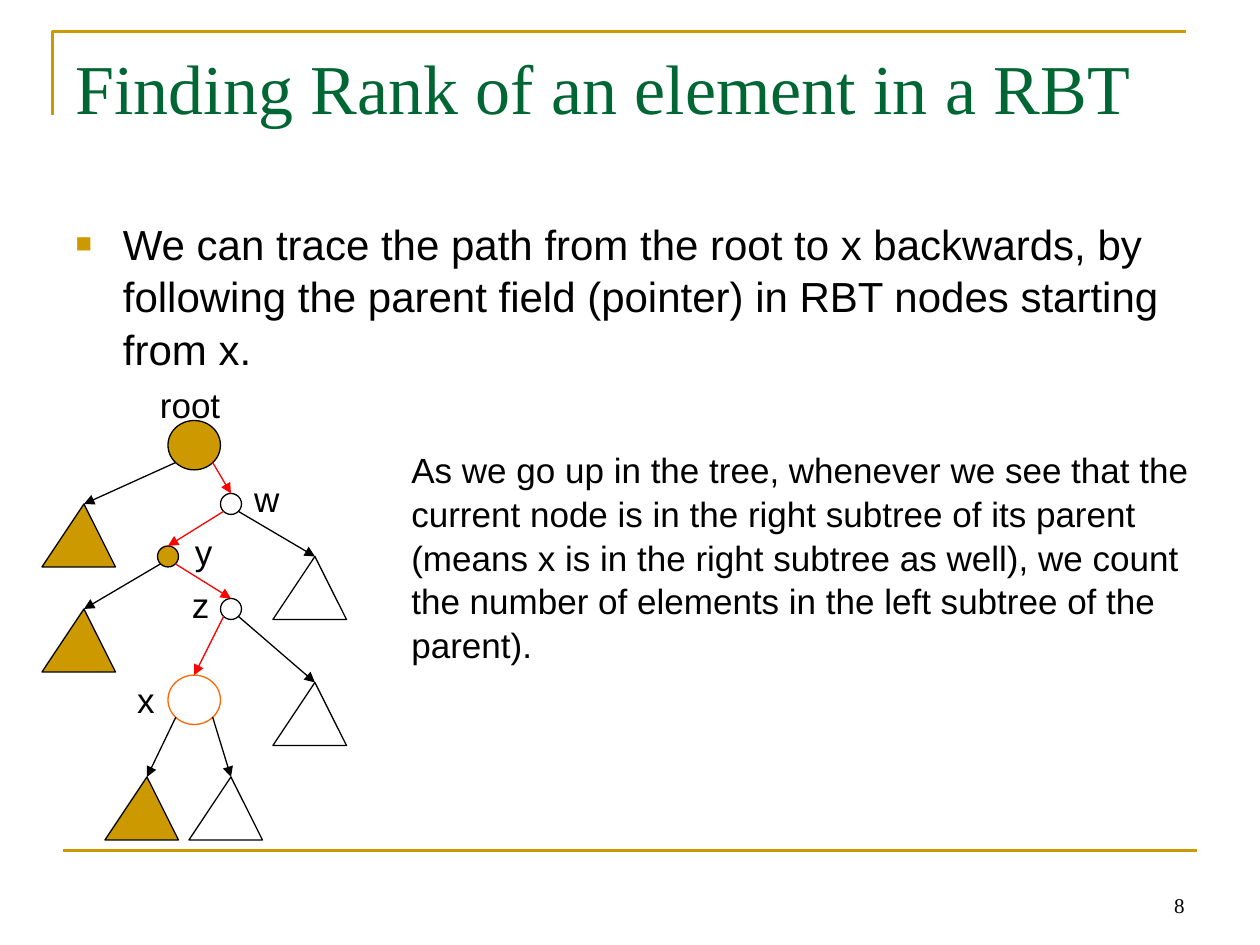
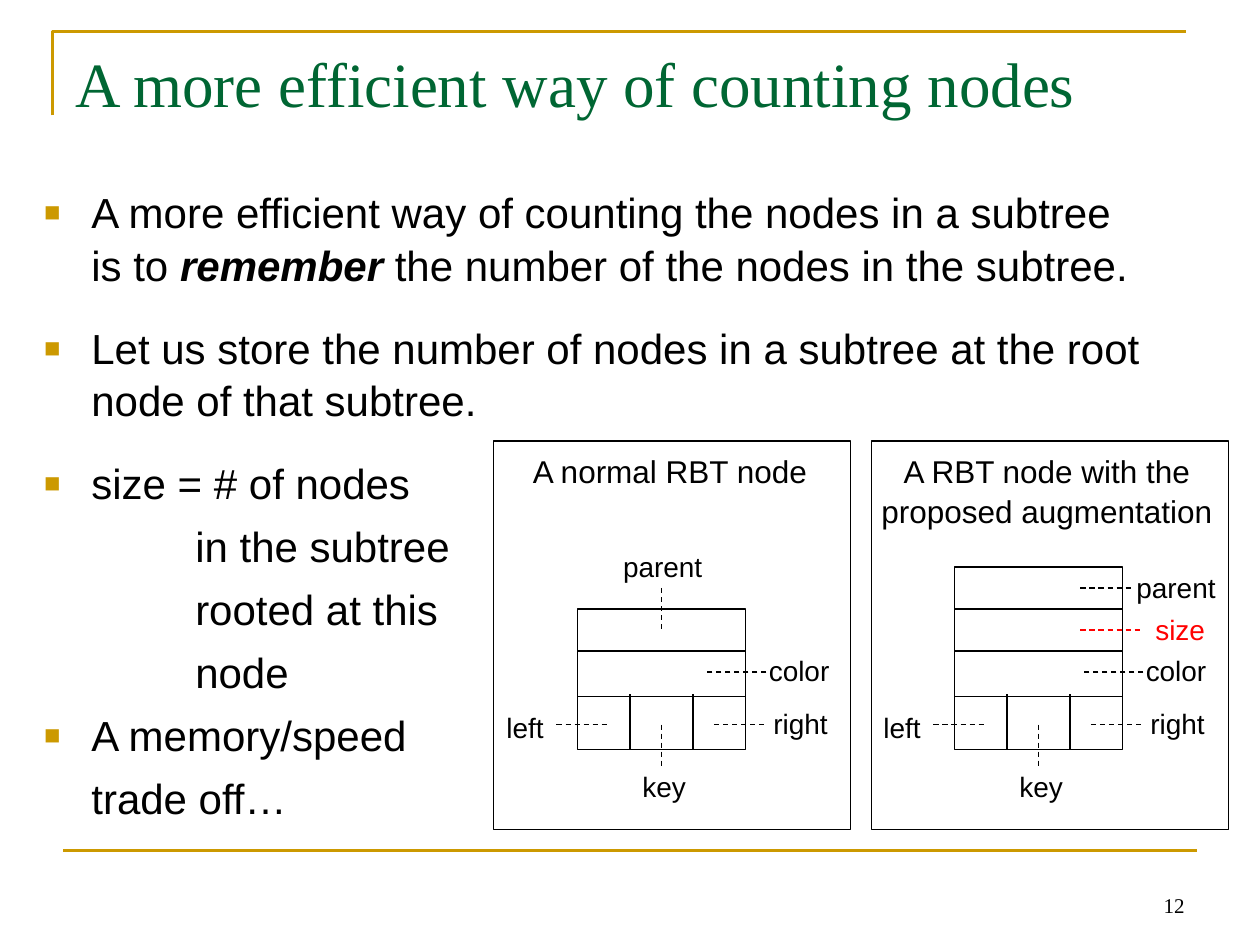
from pptx import Presentation
from pptx.dml.color import RGBColor
from pptx.enum.dml import MSO_LINE
from pptx.enum.shapes import MSO_CONNECTOR, MSO_SHAPE
from pptx.enum.text import MSO_ANCHOR, MSO_AUTO_SIZE, PP_ALIGN
from pptx.oxml.xmlchemy import OxmlElement
from pptx.util import Emu, Inches, Pt

OVAL, RECT = MSO_SHAPE.OVAL, MSO_SHAPE.RECTANGLE
STRAIGHT, DASH = MSO_CONNECTOR.STRAIGHT, MSO_LINE.DASH
LEFT, CENTER, RIGHT = PP_ALIGN.LEFT, PP_ALIGN.CENTER, PP_ALIGN.RIGHT
TOP, BOTTOM = MSO_ANCHOR.TOP, MSO_ANCHOR.BOTTOM

# The grid has 120 columns and 90 rows, twelve to the inch
COLUMNS, ROWS = 120, 90
CELL = Inches(10) // COLUMNS

GOLD, GREEN, BLACK = "CC9900", "006633", "000000"
RED, ORANGE = "FF0101", "FF6600"
SERIF, SANS = "Times New Roman", "Arial"
HANGING = 0.375  # inches


def cells(*numbers):
    return [Emu(round(number * CELL)) for number in numbers]


def color(hex_code):
    return RGBColor.from_string(hex_code)


def add_xml(parent, tag, **attributes):
    element = OxmlElement(tag)
    for name, value in attributes.items():
        element.set(name, value)
    parent.append(element)
    return element


def write(paragraph, text, size=20, font=SANS, ink=BLACK, align=LEFT,
          spacing=1.04, strong=False):
    """Add one run of text to a paragraph and format it."""
    paragraph.alignment = align
    paragraph.line_spacing = spacing
    run = paragraph.add_run()
    run.text = text
    run.font.size, run.font.name = Pt(size), font
    run.font.bold = run.font.italic = strong
    run.font.color.rgb = color(ink)


def set_marker(paragraph, indent, bulleted):
    properties = paragraph._p.get_or_add_pPr()
    properties.set("marL", str(Inches(indent)))
    properties.set("indent", str(-Inches(HANGING) if bulleted else 0))
    if not bulleted:
        add_xml(properties, "a:buNone")
        return
    add_xml(add_xml(properties, "a:buClr"), "a:srgbClr", val=GOLD)
    add_xml(properties, "a:buSzPct", val="65000")
    add_xml(properties, "a:buFont", typeface=SANS)
    add_xml(properties, "a:buChar", char="■")


class Deck:
    """The shared style and the slide being built."""

    def __init__(self):
        self.file = Presentation()
        self.file.slide_width, self.file.slide_height = cells(COLUMNS, ROWS)
        self.slide = None

    @property
    def shapes(self):
        return self.slide.shapes

    def new_slide(self, heading, number, size):
        self.slide = self.file.slides.add_slide(self.file.slide_layouts[1])
        # Corner rule, bottom rule and page number
        self.outline([(5, 11), (5, 3), (113, 3)], line=GOLD, width=1.5,
                     close=False)
        self.line((6, 81), (114, 81), ink=GOLD, width=1.5)
        self.text([str(number)], 86, 82, 28, 6, anchor=BOTTOM, size=12,
                  font=SERIF, align=RIGHT, spacing=1)
        # Title
        frame = self.place(self.shapes.title, 6, 3.6, 108, 15)
        write(frame.paragraphs[0], heading, size, SERIF, GREEN, spacing=1)

    def place(self, box, left, top, width, height, anchor=TOP, wrap=True):
        box.left, box.top, box.width, box.height = cells(
            left, top, width, height)
        frame = box.text_frame
        frame.auto_size = MSO_AUTO_SIZE.NONE
        frame.word_wrap, frame.vertical_anchor = wrap, anchor
        return frame

    def text(self, lines, left, top, width, height, anchor=TOP, wrap=True,
             **style):
        box = self.shapes.add_textbox(0, 0, 0, 0)
        frame = self.place(box, left, top, width, height, anchor, wrap)
        for index, line in enumerate(lines):
            paragraph = frame.add_paragraph() if index else frame.paragraphs[0]
            write(paragraph, line, **style)

    def label(self, words, middle, top, width=10, **style):
        """Unwrapped text centred on a column."""
        lines = words.split("\n")
        self.text(lines, middle - width / 2, top, width, 5 * len(lines),
                  wrap=False, align=CENTER, **style)

    def body(self, items, left, top):
        """Each item holds its runs, space before, indent and bullet flag."""
        frame = self.place(self.shapes.placeholders[1], left, top, 108, 59.5)
        for index, (runs, gap, indent, bulleted) in enumerate(items):
            paragraph = frame.add_paragraph() if index else frame.paragraphs[0]
            paragraph.space_before = Pt(gap)
            paragraph.line_spacing = 1.04
            set_marker(paragraph, indent, bulleted)
            for words, strong in runs:
                write(paragraph, words, size=24, strong=strong)

    def finish(self, shape, fill, line, width=0.75):
        shape.shadow.inherit = False
        if fill:
            shape.fill.solid()
            shape.fill.fore_color.rgb = color(fill)
        else:
            shape.fill.background()
        shape.line.color.rgb = color(line)
        shape.line.width = Pt(width)

    def shape(self, kind, left, top, width, height, fill=None, line=BLACK):
        shape = self.shapes.add_shape(kind, *cells(left, top, width, height))
        self.finish(shape, fill, line)

    def outline(self, points, fill=None, line=BLACK, width=0.75, close=True):
        start, *others = [cells(*point) for point in points]
        builder = self.shapes.build_freeform(*start)
        builder.add_line_segments(others, close=close)
        self.finish(builder.convert_to_shape(), fill, line, width)

    def line(self, start, end, ink=BLACK, width=0.75, dashed=False,
             arrow=False):
        line = self.shapes.add_connector(STRAIGHT, *cells(*start, *end))
        line.line.color.rgb = color(ink)
        line.line.width = Pt(width)
        if dashed:
            line.line.dash_style = DASH
        if arrow:
            add_xml(line.line._get_or_add_ln(), "a:tailEnd", type="triangle")
        add_xml(line._element.spPr, "a:effectLst")


def draw_tree(deck):
    # Nodes: left, top, width, height, fill, line
    nodes = {
        "root": (16, 40.05, 5, 4.7, GOLD, BLACK),
        "w": (21, 47, 2, 2, None, BLACK),
        "y": (15, 52, 2, 2, GOLD, BLACK),
        "z": (21, 57, 2, 2, None, BLACK),
        "x": (16, 64.3, 5, 4.7, None, ORANGE),
    }
    for node in nodes.values():
        deck.shape(OVAL, *node)

    # Subtrees, keyed by parent and side: apex and fill
    subtrees = {
        ("root", -1): (8, 48, GOLD),
        ("w", 1): (30, 53, None),
        ("y", -1): (8, 58, GOLD),
        ("z", 1): (30, 65, None),
        ("x", -1): (14, 74, GOLD),
        ("x", 1): (22, 74, None),
    }
    for x, y, fill in subtrees.values():
        deck.outline([(x, y), (x - 4, y + 6), (x + 3, y + 6)], fill)

    # Edges leave a node at 45 degrees, to the left (-1) or right (1)
    def edge(parent, side, target, ink):
        left, top, width, height, *_ = nodes[parent]
        start = (left + width * (0.5 + 0.35 * side), top + height * 0.85)
        deck.line(start, target, ink, arrow=True)

    for (parent, side), (x, y, _) in subtrees.items():
        edge(parent, side, (x, y), BLACK)
    for parent, side, child in [("root", 1, "w"), ("w", -1, "y"),
                                ("y", 1, "z"), ("z", -1, "x")]:
        left, top, width, *_ = nodes[child]
        edge(parent, side, (left + width / 2, top), RED)

    for name, middle, top in [("root", 18.1, 35.76), ("w", 25.4, 44.76),
                              ("y", 19.4, 49.8), ("z", 19.1, 54.84),
                              ("x", 13.9, 63.84)]:
        deck.label(name, middle, top)


def draw_record(deck, caption, caption_middle, panel, left, top, dividers,
                fields):
    """Draw a panel with a node record and its named fields."""
    bottom, split = 71.4, 66.36
    deck.shape(RECT, panel, 42, 34, 37)
    deck.label(caption, caption_middle, 42.36, width=32, size=18)
    deck.shape(RECT, left, top, 16, bottom - top)
    for y in (*dividers, split):
        deck.line((left, y), (left + 16, y))
    for x in (left + 5, left + 11):
        deck.line((x, split - 0.24), (x, bottom))
    # Fields: name, label middle and top, pointer start and end, colour
    for name, middle, label_top, (x1, y1), (x2, y2), ink in fields:
        deck.line((left + x1, y1), (left + x2, y2), ink, dashed=True)
        deck.label(name, left + middle, label_top, size=16, ink=ink)


def main():
    deck = Deck()

    # Slide 8: rank of an element
    deck.new_slide("Finding Rank of an element in a RBT", 8, size=40)
    path_note = ("We can trace the path from the root to x backwards, by "
                 "following the parent field (pointer) in RBT nodes starting "
                 "from x.")
    deck.body([([(path_note, False)], 0, HANGING, True)], 6, 20)
    draw_tree(deck)
    deck.text(["As we go up in the tree, whenever we see that the current "
               "node is in the right subtree of its parent (means x is in the "
               "right subtree as well), we count the number of elements in "
               "the left subtree of the parent)."], 38, 42, 78, 21.2)

    # Slide 12: storing subtree sizes
    deck.new_slide("A more efficient way of counting nodes", 12, size=36)
    remember = [
        ("A more efficient way of counting the nodes in a subtree is to ",
         False),
        ("remember", True),
        (" the number of the nodes in the subtree.", False),
    ]
    store = ("Let us store the number of nodes in a subtree at the root "
             "node of that subtree.")
    size_lines = ["in the subtree", "rooted at this", "node"]
    deck.body([
        (remember, 0, HANGING, True),
        ([(store, False)], 17.6, HANGING, True),
        ([("size = # of nodes", False)], 17.6, HANGING, True),
        *[([(words, False)], 6, 1.2, False) for words in size_lines],
        ([("A memory/speed", False)], 6, HANGING, True),
        ([("trade off…", False)], 6, HANGING, False),
    ], 3, 17)

    common = [
        ("color", 21.1, 61.56, (18, 64), (12, 64), BLACK),
        ("left", -5, 67, (-2, 69), (3, 69), BLACK),
        ("right", 21.25, 66.6, (13, 69), (18, 69), BLACK),
        ("key", 8.25, 72.6, (8, 69), (8, 73), BLACK),
    ]
    draw_record(deck, "A normal RBT node", 63.8, 47, 55, 58, [62],
                [("parent", 8.1, 51.6, (8, 56), (8, 60), BLACK), *common])
    draw_record(deck, "A RBT node with the\nproposed augmentation", 99.7,
                83, 90.9, 54, [58, 62],
                [("parent", 21.1, 53.64, (12, 56), (17, 56), BLACK),
                 ("size", 21.5, 57.6, (12, 60), (18, 60), RED), *common])

    deck.file.save("out.pptx")


if __name__ == "__main__":
    main()
